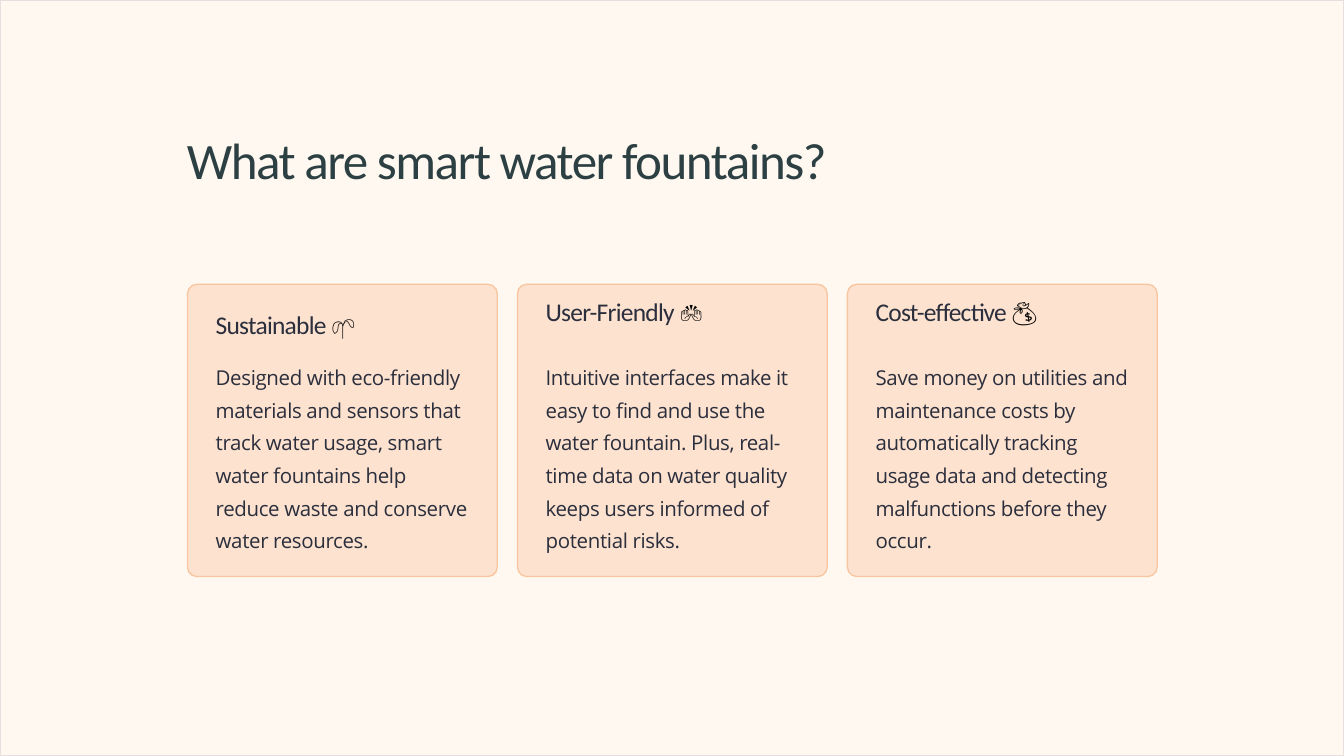
from dataclasses import dataclass

from pptx import Presentation
from pptx.dml.color import RGBColor
from pptx.enum.shapes import MSO_SHAPE
from pptx.enum.text import MSO_ANCHOR, MSO_AUTO_SIZE, PP_ALIGN
from pptx.util import Inches, Pt

ROUNDED, RECTANGLE = MSO_SHAPE.ROUNDED_RECTANGLE, MSO_SHAPE.RECTANGLE
TOP, LEFT, FIXED = MSO_ANCHOR.TOP, PP_ALIGN.LEFT, MSO_AUTO_SIZE.NONE
TITLE_ONLY = 5


@dataclass(frozen=True)
class TextStyle:
    font: str
    size: float
    leading: float
    tracking: float
    color: str


@dataclass(frozen=True)
class Theme:
    background: str = "FFF8F0"
    frame: str = "E5E0DF"
    card: str = "FCE2CF"
    card_edge: str = "F9C59F"
    icon: str = "000000"
    edge_width: float = 1.4
    title: TextStyle = TextStyle("Calibri", 54.7, 68.3, -1.6, "2C3F42")
    heading: TextStyle = TextStyle("Calibri", 27.3, 34.2, -0.8, "2B2E3C")
    body: TextStyle = TextStyle("Open Sans", 21.9, 35, -0.4, "2B2E3C")


class SlideBuilder:
    def __init__(self, deck, theme):
        self.theme = theme
        self.page = deck.slides.add_slide(deck.slide_layouts[TITLE_ONLY])

    def background(self, color):
        fill = self.page.background.fill
        fill.solid()
        fill.fore_color.rgb = RGBColor.from_string(color)

    def outline(self, shape, color):
        shape.shadow.inherit = False
        shape.line.color.rgb = RGBColor.from_string(color)
        shape.line.width = Pt(self.theme.edge_width)

    def frame(self, width, height):
        border = self.page.shapes.add_shape(RECTANGLE, 0, 0, width, height)
        border.fill.background()
        self.outline(border, self.theme.frame)

    def panel(self, left, top, width, height, radius):
        panel = self.page.shapes.add_shape(ROUNDED, left, top, width, height)
        panel.adjustments[0] = radius / min(width, height)
        panel.fill.solid()
        panel.fill.fore_color.rgb = RGBColor.from_string(self.theme.card)
        self.outline(panel, self.theme.card_edge)

    def fill_text(self, box, style, spans):
        """Fill a box with one paragraph made of (text, colour) spans."""
        frame = box.text_frame
        layout = {"word_wrap": True, "auto_size": FIXED, "vertical_anchor": TOP,
                  "margin_left": 0, "margin_top": 0,
                  "margin_right": 0, "margin_bottom": 0}
        for name, value in layout.items():
            setattr(frame, name, value)
        para = frame.paragraphs[0]
        para.alignment = LEFT
        para.line_spacing = Pt(style.leading)
        for text, color in spans:
            span = para.add_run()
            span.text = text
            for name, value in {"name": style.font, "size": Pt(style.size)}.items():
                setattr(span.font, name, value)
            span.font.color.rgb = RGBColor.from_string(color)
            span._r.get_or_add_rPr().set("spc", str(round(style.tracking * 100)))

    def title(self, text, left, top, width, height):
        box = self.page.shapes.title
        place = {"left": left, "top": top, "width": width, "height": height}
        for name, value in place.items():
            setattr(box, name, value)
        self.fill_text(box, self.theme.title, [(text, self.theme.title.color)])

    def text(self, style, spans, left, top, width, height):
        box = self.page.shapes.add_textbox(left, top, width, height)
        self.fill_text(box, style, spans)


CARDS = [
    ("Sustainable ", "🌱", 4.58,
     "Designed with eco-friendly materials and sensors that track water usage, "
     "smart water fountains help reduce waste and conserve water resources."),
    ("User-Friendly ", "🙌", 4.39,
     "Intuitive interfaces make it easy to find and use the water fountain. "
     "Plus, real-time data on water quality keeps users informed of potential risks."),
    ("Cost-effective ", "💰", 4.39,
     "Save money on utilities and maintenance costs by automatically tracking "
     "usage data and detecting malfunctions before they occur."),
]
CARD_LEFT, CARD_TOP, CARD_WIDTH, CARD_HEIGHT = 2.79, 4.23, 4.61, 4.35
CARD_GAP, CARD_PADDING, CARD_RADIUS = 0.3, 0.42, 0.14


def main():
    deck = Presentation()
    deck.slide_width, deck.slide_height = Inches(20), Inches(11.25)
    theme = Theme()
    slide = SlideBuilder(deck, theme)
    slide.background(theme.background)
    slide.frame(deck.slide_width, deck.slide_height)
    slide.title("What are smart water fountains?",
                Inches(2.78), Inches(1.88), Inches(10.69), Inches(0.95))

    for index, (heading, icon, heading_top, body) in enumerate(CARDS):
        left = CARD_LEFT + index * (CARD_WIDTH + CARD_GAP)
        text_left = Inches(left + CARD_PADDING)
        slide.panel(Inches(left), Inches(CARD_TOP), Inches(CARD_WIDTH),
                    Inches(CARD_HEIGHT), Inches(CARD_RADIUS))
        slide.text(theme.heading,
                   [(heading, theme.heading.color), (icon, theme.icon)],
                   text_left, Inches(heading_top), Inches(2.84), Inches(0.47))
        slide.text(theme.body, [(body, theme.body.color)],
                   text_left, Inches(5.31), Inches(3.76), Inches(2.9))

    deck.save("out.pptx")


if __name__ == "__main__":
    main()
